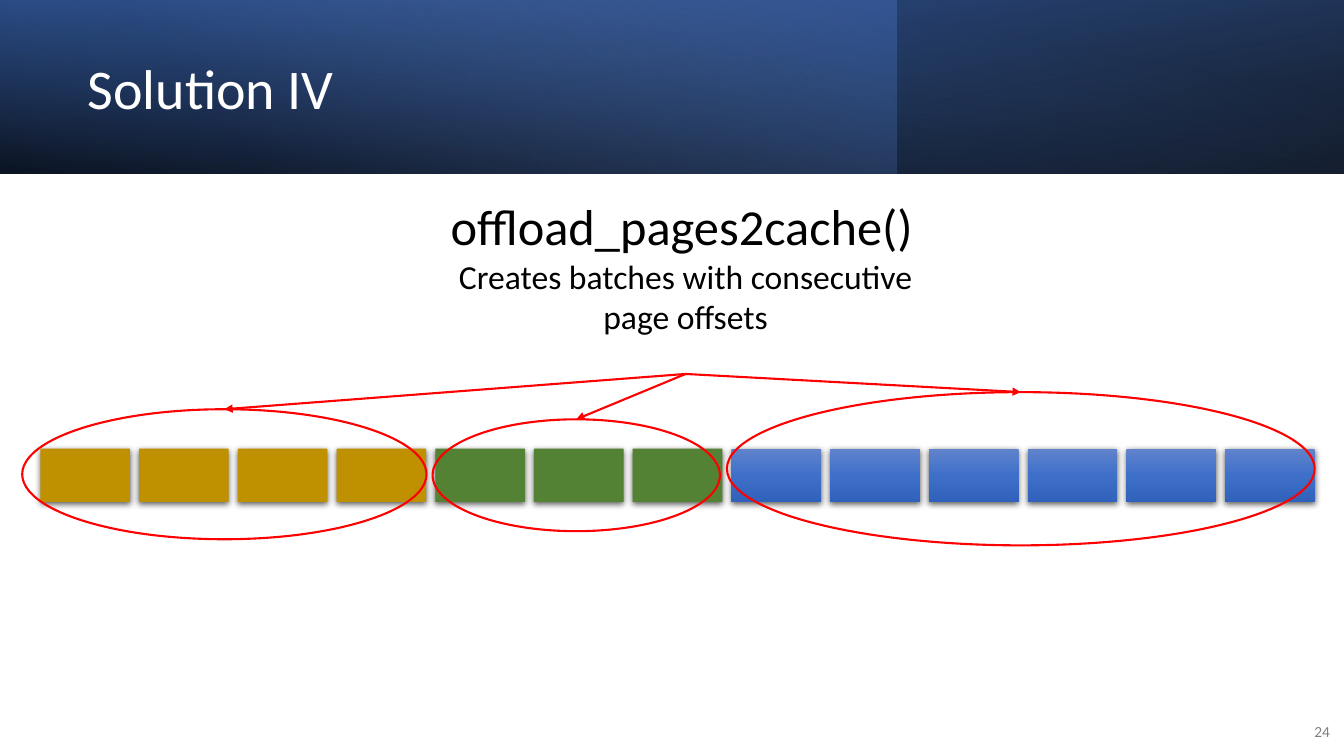
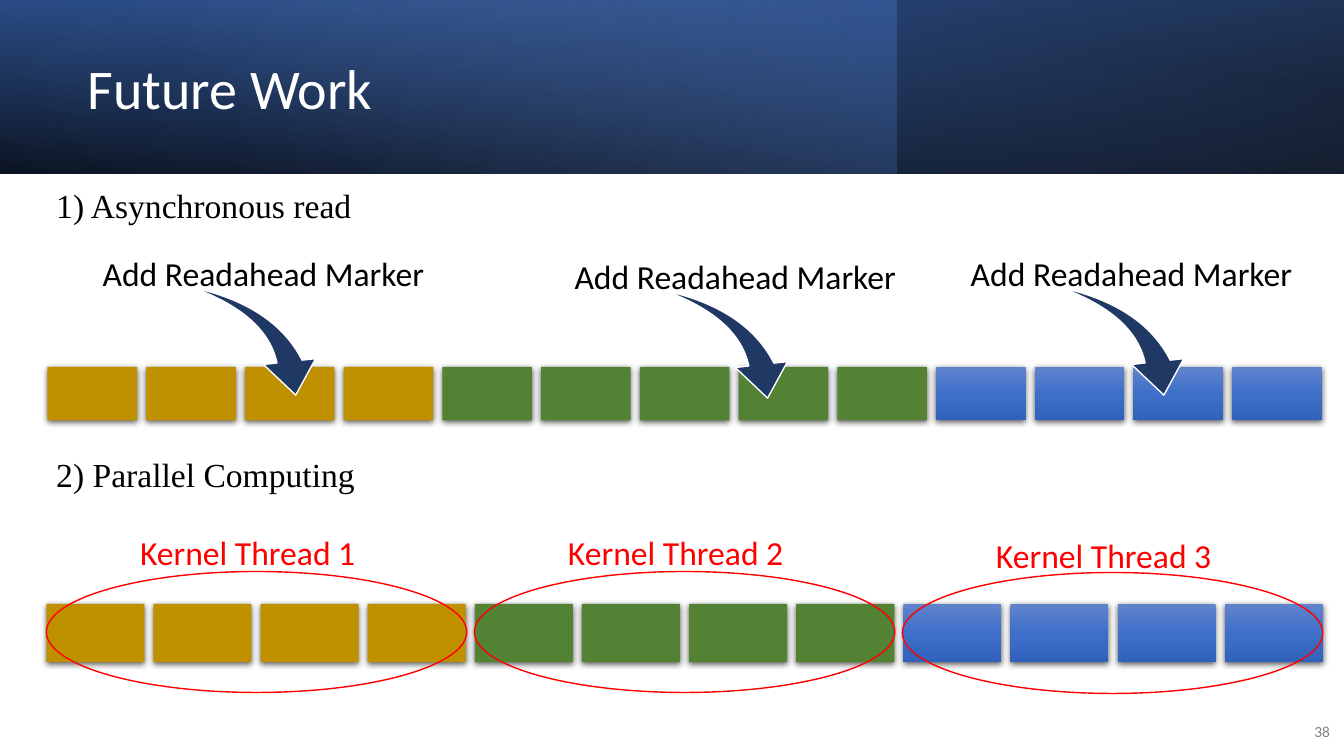
from pptx import Presentation
from pptx.dml.color import RGBColor as RGB
from pptx.enum.shapes import MSO_CONNECTOR as LINK, MSO_SHAPE as SHAPE
from pptx.enum.text import MSO_ANCHOR as ANCHOR, PP_ALIGN as ALIGN
from pptx.oxml import parse_xml
from pptx.oxml.ns import nsdecls
from pptx.util import Inches, Pt

COLORS = {
    "white": "FFFFFF", "black": "000000", "gray": "808080", "red": "FF0000",
    "gold": "BF9000", "green": "548235", "navy": "203864",
    "deep": "2F5597", "blue": "4472C4", "pale": "8FAADC",
    "top": "6183CB", "mid": "3E70CA", "low": "3062BB",
}
# Each stop is position, colour and opacity, all in percent.
BLUE = [(0, "top", 100), (50, "mid", 100), (100, "low", 100)]
BANDS = [
    (13.33, [(0, "black", 96), (100, "deep", 100)], 100, 180, True),
    (8.89, [(0, "blue", 41), (74, "pale", 0)], 140, 0, False),
    (13.33, [(0, "black", 63), (78, "blue", 15)], 260, 0, True),
]
BAND_H = 1.72
GAP = 0.09
SERIF = "Times New Roman"


def rgb(name):
    return RGB.from_string(COLORS[name])


def node(text):
    """Parse one element of the drawing namespace."""
    tag, rest = text[:-1].split(" ", 1) if " " in text.split(">")[0] else (text[:-1], "")
    return parse_xml(f"{tag} {nsdecls('a')} {rest}>")


class Deck:
    def __init__(self):
        self.prs = Presentation()
        self.prs.slide_width = Inches(13.33)
        self.prs.slide_height = Inches(7.5)
        self.slide = None

    def page(self, title, number):
        self.slide = self.prs.slides.add_slide(self.prs.slide_layouts[6])
        for width, stops, angle, turn, flip in BANDS:
            band = self.shape(SHAPE.RECTANGLE, 0, 0, width, BAND_H)
            self.blend(band, stops, angle)
            band.rotation = turn
            if flip:
                band._element.spPr.xfrm.set("flipH", "1")
        head = self.text(0.77, 0.27, 7.72, 1.27, [(title, 40)], "white",
                         anchor=ANCHOR.MIDDLE)
        head.paragraphs[0].line_spacing = 0.9
        foot = self.text(12.8, 7.06, 0.49, 0.4, [(number, 11)], "gray",
                         anchor=ANCHOR.MIDDLE)
        foot.paragraphs[0].alignment = ALIGN.RIGHT
        foot.paragraphs[0].space_after = Pt(6)

    def shape(self, kind, x, y, w, h, fill=None, line=None, weight=1):
        """Add a flat shape; without a fill name its fill stays unset."""
        item = self.slide.shapes.add_shape(
            kind, Inches(x), Inches(y), Inches(w), Inches(h))
        item.shadow.inherit = False
        if fill:
            item.fill.solid()
            item.fill.fore_color.rgb = rgb(fill)
        if line:
            item.line.color.rgb = rgb(line)
            item.line.width = Pt(weight)
        else:
            item.line.fill.background()
        return item

    def blend(self, item, stops, angle):
        """Give an unfilled shape a linear gradient, angle clockwise."""
        marks = "".join(
            f'<a:gs pos="{pos * 1000}"><a:srgbClr val="{COLORS[name]}">'
            f'<a:alpha val="{alpha * 1000}"/></a:srgbClr></a:gs>'
            for pos, name, alpha in stops)
        item._element.spPr.insert(2, node(
            f'<a:gradFill rotWithShape="1"><a:gsLst>{marks}</a:gsLst>'
            f'<a:lin ang="{angle * 60000}" scaled="0"/></a:gradFill>'))

    def text(self, x, y, w, h, lines, color="black", font="Calibri",
             anchor=ANCHOR.TOP):
        """Add a text box from pairs of text and size."""
        frame = self.slide.shapes.add_textbox(
            Inches(x), Inches(y), Inches(w), Inches(h)).text_frame
        frame.word_wrap = True
        frame.vertical_anchor = anchor
        for i, (words, size) in enumerate(lines):
            para = frame.add_paragraph() if i else frame.paragraphs[0]
            para.text = words
            para.font.name = font
            para.font.size = Pt(size)
            para.font.color.rgb = rgb(color)
        return frame

    def row(self, x, y, width, h, gold, green, blue):
        """Spread shadowed page blocks evenly over a width."""
        fills = ["gold"] * gold + ["green"] * green + [None] * blue
        size = (width + GAP) / len(fills) - GAP
        for i, fill in enumerate(fills):
            block = self.shape(SHAPE.RECTANGLE, x + i * (size + GAP), y, size, h, fill)
            if not fill:
                self.blend(block, BLUE, 90)
            block._element.spPr.find(
                "{http://schemas.openxmlformats.org/drawingml/2006/main}effectLst"
            ).append(node(
                '<a:outerShdw blurRad="57150" dist="19050" dir="5400000" '
                'algn="ctr" rotWithShape="0"><a:srgbClr val="000000">'
                '<a:alpha val="63000"/></a:srgbClr></a:outerShdw>'))

    def ring(self, x, y, w, h, weight):
        self.shape(SHAPE.OVAL, x, y, w, h, line="red", weight=weight).fill.background()

    def arrow(self, x1, y1, x2, y2):
        link = self.slide.shapes.add_connector(
            LINK.STRAIGHT, Inches(x1), Inches(y1), Inches(x2), Inches(y2))
        link.line.color.rgb = rgb("red")
        link.line.width = Pt(1.5)
        link.line._get_or_add_ln().append(node('<a:tailEnd type="triangle"/>'))
        link._element.spPr.append(node('<a:effectLst dirty=""/>'.replace(' dirty=""', " ")))

    def marker(self, x, y):
        """Add a label with a curved arrow down to a block."""
        swoosh = self.shape(SHAPE.SWOOSH_ARROW, x + 1.06, y + 0.31, 1.07, 1.23,
                            "navy", "white")
        swoosh.rotation = 90
        swoosh.adjustments[0] = 0.203
        swoosh.adjustments[1] = 0.324
        self.text(x, y, 3.7, 0.5, [("Add Readahead Marker", 24)])


def batches(deck):
    deck.page("Solution IV", "24")
    call = deck.text(4.37, 1.89, 4.86, 1.82, [
        ("offload_pages2cache()", 36),
        ("Creates batches with consecutive page offsets", 24)])
    call.paragraphs[1].alignment = ALIGN.CENTER
    deck.row(0.4, 4.45, 12.64, 0.53, 4, 3, 6)
    rings = [(0.22, 4.06, 4.01, 1.29), (4.29, 4.16, 2.85, 1.11),
             (7.21, 3.89, 5.83, 1.52)]
    for x, y, w, h in rings:
        deck.ring(x, y, w, h, 1.5)
    for x, y, w, h in rings:
        deck.arrow(6.8, 3.71, x + w / 2, y)


def future(deck):
    deck.page("Future Work", "38")
    deck.row(0.47, 3.64, 12.64, 0.53, 4, 5, 4)
    for x, y in [(0.92, 2.46), (5.6, 2.49), (9.53, 2.46)]:
        deck.marker(x, y)
    deck.row(0.46, 5.99, 12.66, 0.58, 4, 4, 4)
    for i, (ring, label) in enumerate([(5.67, 5.23), (5.67, 5.23), (5.68, 5.26)]):
        x = 0.46 + i * 4.245
        deck.ring(x, ring, 4.17, 1.2, 1)
        deck.text(x + 0.83, label, 2.51, 0.5, [(f"Kernel Thread {i + 1}", 24)], "red")
    for y, words in [(1.79, "1) Asynchronous read"), (4.45, "2) Parallel Computing")]:
        deck.text(0.46, y, 7.73, 0.5, [(words, 24)], font=SERIF)


def main():
    deck = Deck()
    batches(deck)
    future(deck)
    deck.prs.save("out.pptx")


if __name__ == "__main__":
    main()
